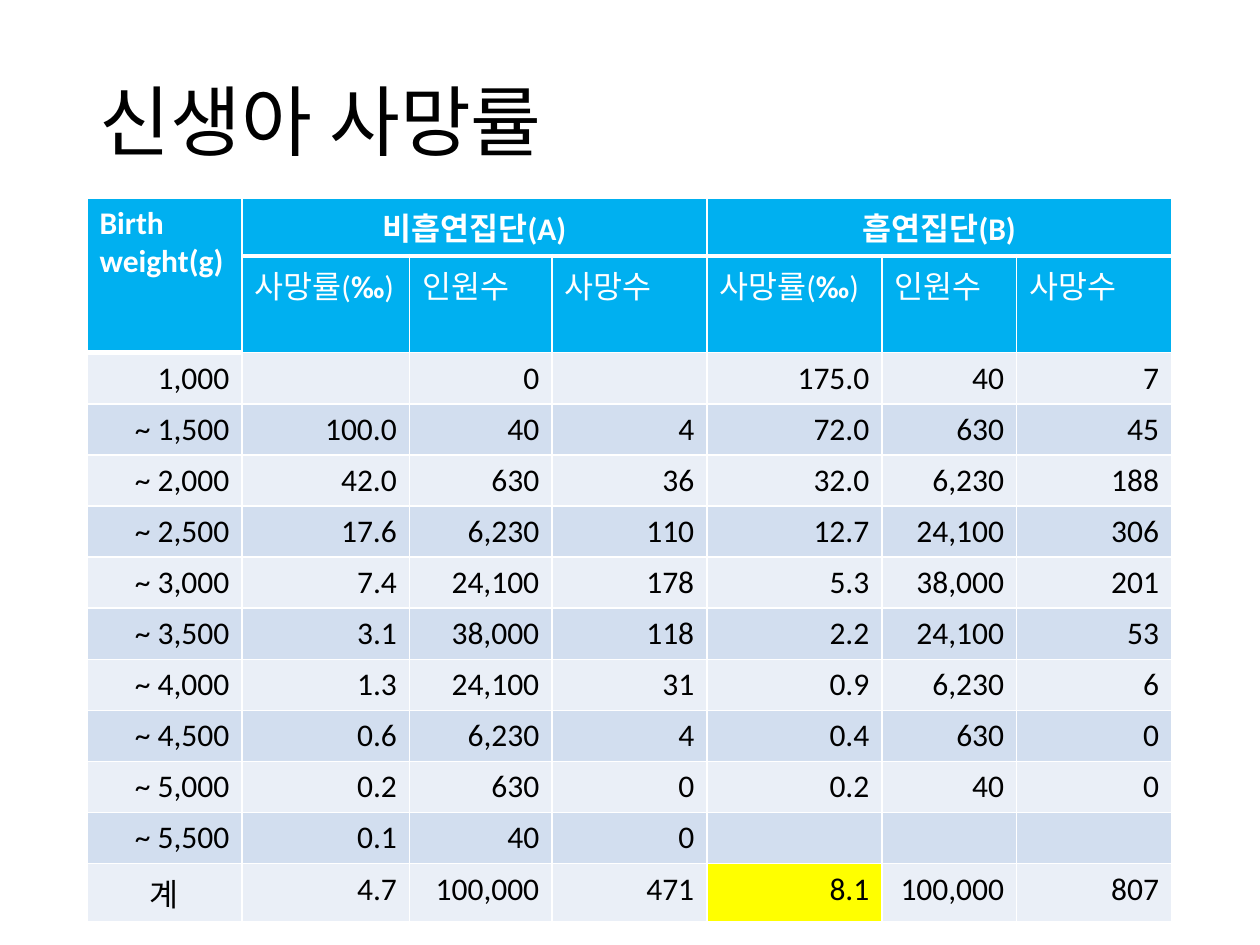
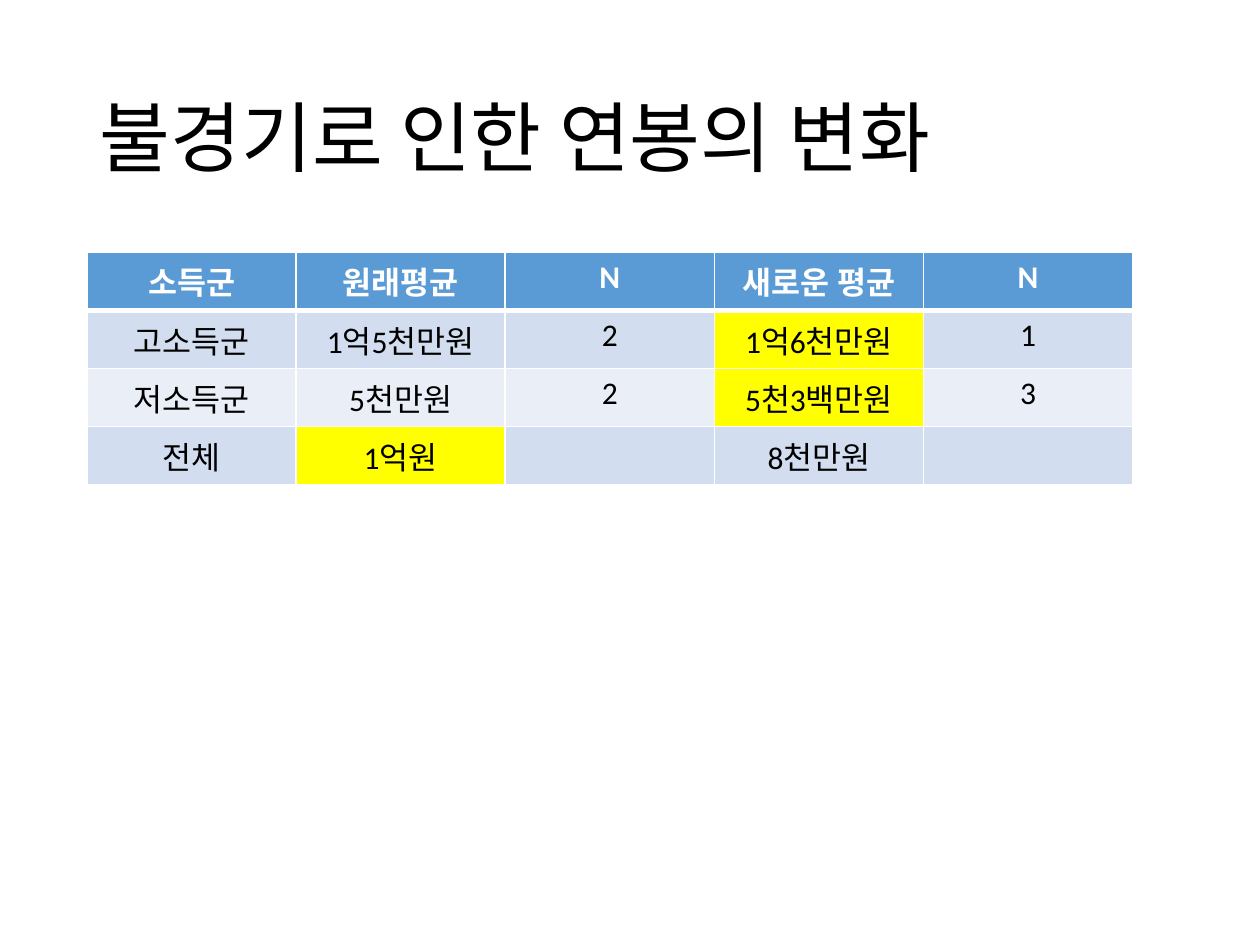
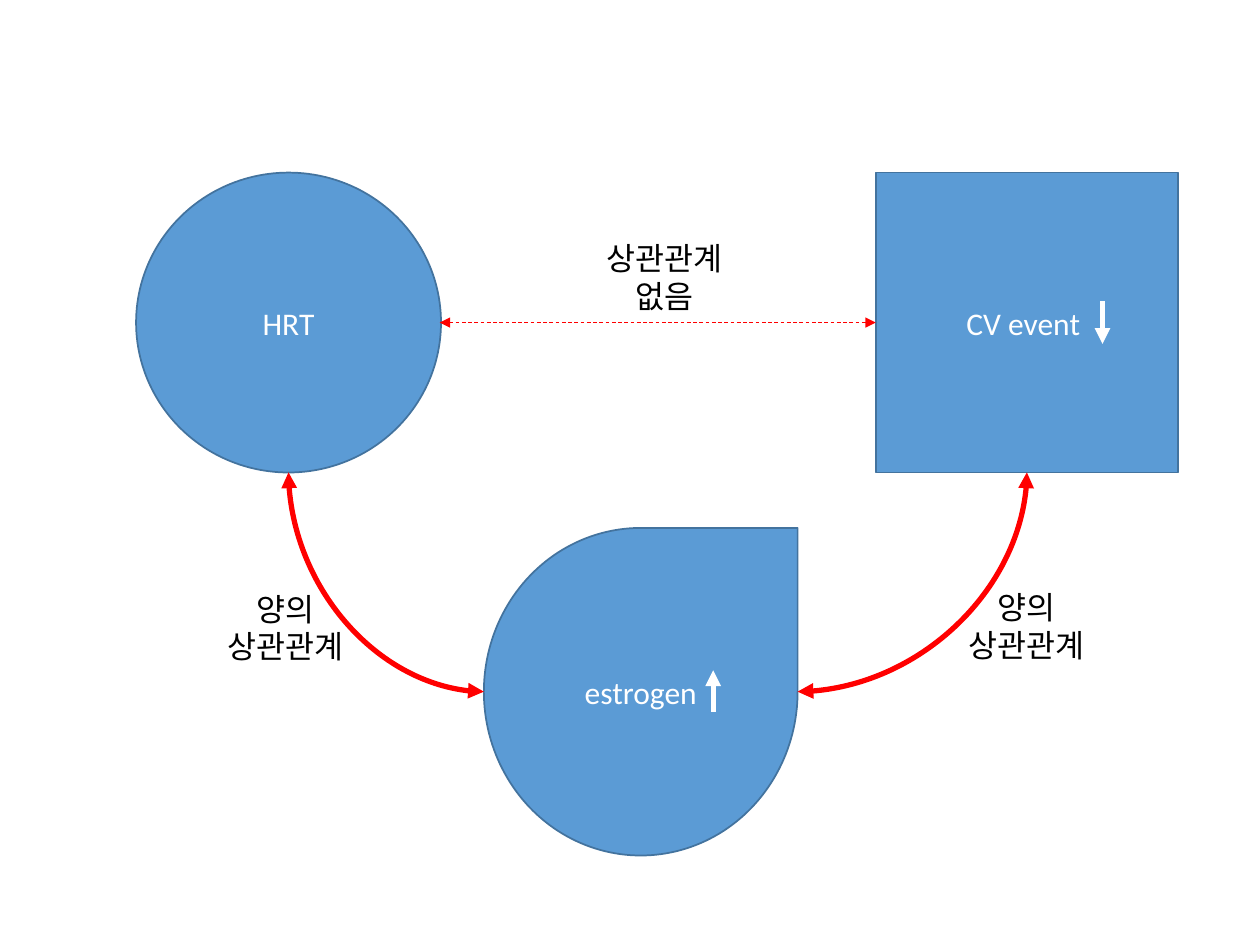
from lxml.etree import SubElement
from pptx import Presentation
from pptx.dml.color import RGBColor
from pptx.enum.dml import MSO_LINE_DASH_STYLE as Dash
from pptx.enum.shapes import MSO_CONNECTOR as Connector, MSO_SHAPE as Shape
from pptx.enum.text import MSO_ANCHOR as Anchor, MSO_AUTO_SIZE as AutoSize, PP_ALIGN as Align
from pptx.oxml.ns import qn
from pptx.util import Inches, Pt

FONT = "Calibri"
COLORS = {
    "text": "000000",
    "white": "FFFFFF",
    "blue": "5B9BD5",
    "outline": "43739E",
    "sky": "00B0F0",
    "dark_band": "D2DEEF",
    "light_band": "EAEFF7",
    "highlight": "FFFF00",
    "red": "FF0000",
}
TITLE_ONLY, BLANK = 5, 6
LEFT = 0.69

MORTALITY_WIDTHS = [1.23, 1.33, 1.13, 1.23, 1.39, 1.07, 1.23]
GROUP_COLUMNS = ["사망률(‰)", "인원수", "사망수"]
MORTALITY_ROWS = [
    ["Birth weight(g)", "비흡연집단(A)", "", "", "흡연집단(B)", "", ""],
    ["", *GROUP_COLUMNS, *GROUP_COLUMNS],
    ["1,000", "", "0", "", "175.0", "40", "7"],
    ["~ 1,500", "100.0", "40", "4", "72.0", "630", "45"],
    ["~ 2,000", "42.0", "630", "36", "32.0", "6,230", "188"],
    ["~ 2,500", "17.6", "6,230", "110", "12.7", "24,100", "306"],
    ["~ 3,000", "7.4", "24,100", "178", "5.3", "38,000", "201"],
    ["~ 3,500", "3.1", "38,000", "118", "2.2", "24,100", "53"],
    ["~ 4,000", "1.3", "24,100", "31", "0.9", "6,230", "6"],
    ["~ 4,500", "0.6", "6,230", "4", "0.4", "630", "0"],
    ["~ 5,000", "0.2", "630", "0", "0.2", "40", "0"],
    ["~ 5,500", "0.1", "40", "0", "", "", ""],
    ["계", "4.7", "100,000", "471", "8.1", "100,000", "807"],
]
SALARY_ROWS = [
    ["소득군", "원래평균", "N", "새로운 평균", "N"],
    ["고소득군", "1억5천만원", "2", "1억6천만원", "1"],
    ["저소득군", "5천만원", "2", "5천3백만원", "3"],
    ["전체", "1억원", "", "8천만원", ""],
]


def color(name):
    return RGBColor.from_string(COLORS[name])


def format_run(run, color_name, size=18, bold=False):
    run.font.name = FONT
    run.font.size = Pt(size)
    run.font.bold = bold
    run.font.color.rgb = color(color_name)


def write_text(text_frame, text, color_name, align=Align.CENTER):
    text_frame.text = text
    for paragraph in text_frame.paragraphs:
        paragraph.alignment = align
        for run in paragraph.runs:
            format_run(run, color_name)


def add_titled_slide(presentation, text, top, height):
    slide = presentation.slides.add_slide(presentation.slide_layouts[TITLE_ONLY])
    title = slide.shapes.title
    title.left, title.top = Inches(LEFT), Inches(top)
    title.width, title.height = Inches(8.62), Inches(height)
    frame = title.text_frame
    frame.text = text
    frame.auto_size = AutoSize.NONE
    frame.vertical_anchor = Anchor.MIDDLE
    paragraph = frame.paragraphs[0]
    paragraph.alignment = Align.LEFT
    paragraph.line_spacing = 0.9
    format_run(paragraph.runs[0], "text", size=44)
    return slide


def add_borders(cell, top, bottom):
    """Draw white cell borders; top and bottom are widths in points."""
    properties = cell._tc.get_or_add_tcPr()
    for side, width in (("L", 1), ("R", 1), ("T", top), ("B", bottom)):
        line = SubElement(properties, qn(f"a:ln{side}"), w=str(Pt(width)))
        fill = SubElement(line, qn("a:solidFill"))
        SubElement(fill, qn("a:srgbClr"), val=COLORS["white"])


def fill_cell(cell, text, fill, color_name, align, bold):
    cell.fill.solid()
    cell.fill.fore_color.rgb = color(fill)
    paragraph = cell.text_frame.paragraphs[0]
    paragraph.alignment = align
    for piece in filter(None, text.partition("‰")):
        run = paragraph.add_run()
        run.text = piece
        format_run(run, color_name, bold=bold or piece == "‰")


def add_data_table(slide, rows, widths, top, height, header_rows, header_fill,
                   bands, highlights, align_of):
    table = slide.shapes.add_table(
        len(rows), len(widths), Inches(LEFT), Inches(top),
        Inches(sum(widths)), Inches(height)).table
    for column, width in zip(table.columns, widths):
        column.width = Inches(width)
    for r, values in enumerate(rows):
        is_header = r < header_rows
        for c, text in enumerate(values):
            cell = table.cell(r, c)
            add_borders(cell, top=3 if r == 1 else 1, bottom=3 if r == 0 else 1)
            fill = header_fill if is_header else bands[(r - header_rows) % 2]
            if (r, c) in highlights:
                fill = "highlight"
            fill_cell(cell, text, fill, "white" if is_header else "text",
                      align_of(r, c), bold=r == 0)
    return table


def mortality_align(row, column):
    if row < 2:
        return Align.CENTER if row == 0 and column else Align.LEFT
    is_total_label = row == len(MORTALITY_ROWS) - 1 and column == 0
    return Align.CENTER if is_total_label else Align.RIGHT


def add_node(slide, preset, text, left, top, width, height):
    node = slide.shapes.add_shape(
        preset, Inches(left), Inches(top), Inches(width), Inches(height))
    node.shadow.inherit = False
    node.fill.solid()
    node.fill.fore_color.rgb = color("blue")
    node.line.color.rgb = color("outline")
    node.line.width = Pt(1)
    node.text_frame.vertical_anchor = Anchor.MIDDLE
    write_text(node.text_frame, text, "white")


def add_label(slide, text, left, top, width, wrap=False):
    label = slide.shapes.add_textbox(
        Inches(left), Inches(top), Inches(width), Inches(0.71))
    label.text_frame.word_wrap = wrap
    label.text_frame.auto_size = AutoSize.SHAPE_TO_FIT_TEXT
    write_text(label.text_frame, text, "text")


def add_arrow(slide, start, end, color_name, width, both_ends=False,
              curved=False, dash=None):
    """A curved arrow leaves its start horizontally and meets its end vertically."""
    kind = Connector.CURVE if curved else Connector.STRAIGHT
    arrow = slide.shapes.add_connector(kind, *map(Inches, (*start, *end)))
    properties = arrow._element.spPr
    if curved:
        properties.find(qn("a:prstGeom")).set("prst", "curvedConnector2")
    arrow.line.color.rgb = color(color_name)
    arrow.line.width = Pt(width)
    if dash:
        arrow.line.dash_style = dash
    line = properties.find(qn("a:ln"))
    for tag in ("a:headEnd", "a:tailEnd") if both_ends else ("a:tailEnd",):
        SubElement(line, qn(tag), type="triangle")
    SubElement(properties, qn("a:effectLst"))


def add_mortality_slide(presentation):
    slide = add_titled_slide(presentation, "신생아 사망률", 0.57, 0.85)
    table = add_data_table(
        slide, MORTALITY_ROWS, MORTALITY_WIDTHS, top=1.57, height=5.27,
        header_rows=2, header_fill="sky", bands=("light_band", "dark_band"),
        highlights={(12, 4)}, align_of=mortality_align)
    for first, last in (((0, 0), (1, 0)), ((0, 1), (0, 3)), ((0, 4), (0, 6))):
        table.cell(*first).merge(table.cell(*last))


def add_salary_slide(presentation):
    slide = add_titled_slide(presentation, "불경기로 인한 연봉의 변화", 0.4, 1.45)
    add_data_table(
        slide, SALARY_ROWS, [1.66] * 5, top=2, height=1.62,
        header_rows=1, header_fill="blue", bands=("dark_band", "light_band"),
        highlights={(1, 3), (2, 3), (3, 1)},
        align_of=lambda row, column: Align.CENTER)


def add_correlation_slide(presentation):
    slide = presentation.slides.add_slide(presentation.slide_layouts[BLANK])
    add_node(slide, Shape.OVAL, "HRT", 1.08, 1.37, 2.42, 2.38)
    add_node(slide, Shape.TEAR, "estrogen", 3.84, 4.19, 2.49, 2.6)
    add_node(slide, Shape.RECTANGLE, "CV event ", 6.95, 1.37, 2.4, 2.38)

    for start, end in (((6.33, 5.49), (8.15, 3.75)), ((3.84, 5.49), (2.29, 3.75))):
        add_arrow(slide, start, end, "red", 3, both_ends=True, curved=True)
    for left, top in ((1.66, 4.63), (7.54, 4.62)):
        add_label(slide, "양의\n상관관계", left, top, 1.21)

    add_arrow(slide, (3.49, 2.56), (6.95, 2.56), "red", 0.5,
              both_ends=True, dash=Dash.DASH)
    add_label(slide, "상관관계 없음", 4.63, 1.85, 1.29, wrap=True)

    add_arrow(slide, (5.66, 5.65), (5.66, 5.32), "white", 3)
    add_arrow(slide, (8.75, 2.39), (8.75, 2.73), "white", 3)


def main():
    presentation = Presentation()
    presentation.slide_width, presentation.slide_height = Inches(10), Inches(7.5)
    add_mortality_slide(presentation)
    add_salary_slide(presentation)
    add_correlation_slide(presentation)
    presentation.save("out.pptx")


if __name__ == "__main__":
    main()
